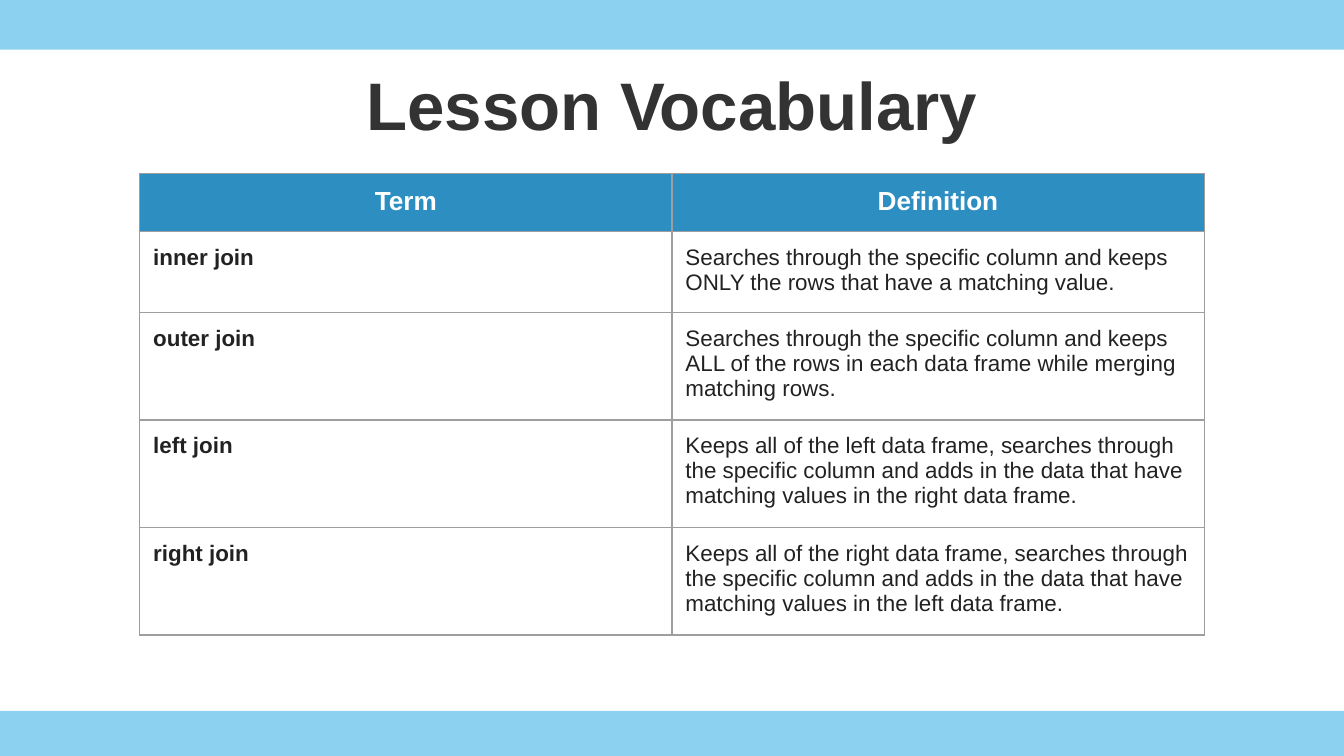
from lxml import etree
from pptx import Presentation
from pptx.dml.color import RGBColor
from pptx.enum.shapes import MSO_SHAPE
from pptx.enum.text import MSO_ANCHOR, PP_ALIGN
from pptx.oxml.ns import qn
from pptx.util import Inches, Pt

RECT = MSO_SHAPE.RECTANGLE
BOTTOM = MSO_ANCHOR.BOTTOM
LEFT, CENTER = PP_ALIGN.LEFT, PP_ALIGN.CENTER

FONT = "Arial"
SKY, BLUE, GRAY = "27A9E1", "2D8EC2", "9E9E9E"
WHITE, DARK, INK = "FFFFFF", "333333", "222222"
PAD = Inches(0.1)
WIDE = 10
TALL = WIDE * 9 / 16

HEAD = ("Term", "Definition")
TERMS = [
    ("inner join", "Searches through the specific column and keeps ONLY the rows "
     "that have a matching value."),
    ("outer join", "Searches through the specific column and keeps ALL of the rows "
     "in each data frame while merging matching rows."),
    ("left join", "Keeps all of the left data frame, searches through the specific "
     "column and adds in the data that have matching values in the right data frame."),
    ("right join", "Keeps all of the right data frame, searches through the specific "
     "column and adds in the data that have matching values in the left data frame."),
]


def color(code):
    return RGBColor.from_string(code)


def write(frame, text, size, code, bold, align):
    frame.text = text
    frame.word_wrap = True
    par = frame.paragraphs[0]
    par.alignment = align
    font = par.runs[0].font
    font.name, font.size, font.bold = FONT, Pt(size), bold
    font.color.rgb = color(code)


def pad(box):
    """Set equal insets on a cell or a text frame."""
    box.margin_left = box.margin_right = PAD
    box.margin_top = box.margin_bottom = PAD


def add_band(slide, x, y, w, h):
    band = slide.shapes.add_shape(RECT, Inches(x), Inches(y), Inches(w), Inches(h))
    band.shadow.inherit = False
    band.fill.solid()
    band.fill.fore_color.rgb = color(SKY)
    band.line.fill.background()
    tint = band.element.spPr.find(qn("a:solidFill")).find(qn("a:srgbClr"))
    etree.SubElement(tint, qn("a:alpha"), val="53000")


def add_title(slide, x, y, w, h):
    box = slide.shapes.add_textbox(Inches(x), Inches(y), Inches(w), Inches(h))
    frame = box.text_frame
    write(frame, "Lesson Vocabulary", 36, DARK, True, CENTER)
    frame.vertical_anchor = BOTTOM
    pad(frame)


def add_edges(cell):
    """Draw all four borders; call before the fill, which must follow them."""
    props = cell._tc.get_or_add_tcPr()
    for side in ("a:lnL", "a:lnR", "a:lnT", "a:lnB"):
        line = etree.SubElement(props, qn(side), w=str(Pt(0.75)))
        fill = etree.SubElement(line, qn("a:solidFill"))
        etree.SubElement(fill, qn("a:srgbClr"), val=GRAY)


def add_vocab(slide, x, y, w, h, row_h):
    """Rows start at row_h and grow with their text to fill h."""
    rows = [HEAD] + TERMS
    count = len(HEAD)
    holder = slide.shapes.add_table(len(rows), count, Inches(x), Inches(y),
                                    Inches(w), Inches(h))
    table = holder.table
    for col in table.columns:
        col.width = Inches(w / count)
    for r, row in enumerate(rows):
        table.rows[r].height = Inches(row_h)
        for c, text in enumerate(row):
            cell = table.cell(r, c)
            pad(cell)
            add_edges(cell)
            if r == 0:
                cell.fill.solid()
                cell.fill.fore_color.rgb = color(BLUE)
                write(cell.text_frame, text, 14, WHITE, True, CENTER)
            else:
                cell.fill.background()
                write(cell.text_frame, text, 12, INK, c == 0, LEFT)
    holder.height = Inches(h)


def main():
    deck = Presentation()
    deck.slide_width, deck.slide_height = Inches(WIDE), Inches(TALL)
    slide = deck.slides.add_slide(deck.slide_layouts[6])
    for top in (0, 5.29):
        add_band(slide, 0, top, WIDE, 0.37)
    add_title(slide, 0.5, 0.23, 9, 0.94)
    add_vocab(slide, 1.04, 1.29, 7.92, 3.28, 0.42)
    deck.save("out.pptx")


if __name__ == "__main__":
    main()
